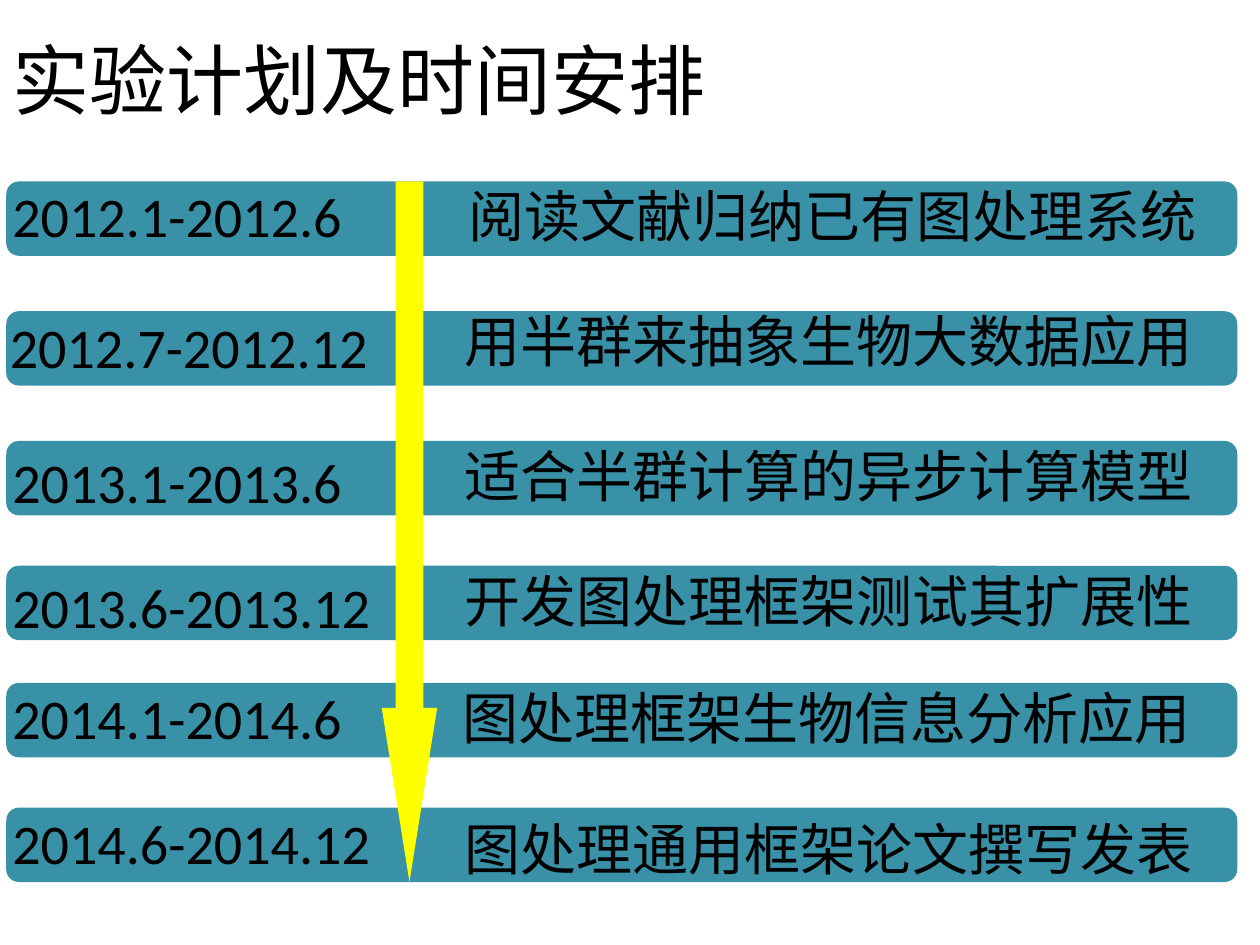
from pptx import Presentation
from pptx.dml.color import RGBColor
from pptx.enum.shapes import MSO_SHAPE
from pptx.enum.text import MSO_ANCHOR, MSO_AUTO_SIZE
from pptx.util import Inches, Pt

TEAL = RGBColor(0x38, 0x91, 0xA7)
YELLOW = RGBColor(0xFF, 0xFF, 0x00)
BLACK = RGBColor(0x00, 0x00, 0x00)

# The slide is a grid of 100 columns by 75 rows
COLS, ROWS = 100, 75
BAR_X, BAR_W, BAR_H = 0.5, 97.7, 5.9
TEXT_H, TASK_W = 6.4, 60.8

# Bar top, (period, column, row shift), (task, column, row shift)
STEPS = [
    (14.4, ("2012.1-2012.6", 0, -0.5), ("阅读文献归纳已有图处理系统", 36.2, -0.5)),
    (24.7, ("2012.7-2012.12", -0.2, -0.4), ("用半群来抽象生物大数据应用", 35.9, -0.9)),
    (35.0, ("2013.1-2013.6", 0, 0), ("适合半群计算的异步计算模型", 35.9, -0.5)),
    (44.9, ("2013.6-2013.12", 0, 0), ("开发图处理框架测试其扩展性", 35.9, -0.5)),
    (54.2, ("2014.1-2014.6", 0, -0.5), ("图处理框架生物信息分析应用", 35.7, -0.5)),
    (64.1, ("2014.6-2014.12", 0, -0.5), ("图处理通用框架论文撰写发表", 35.9, 0)),
]
# Width of a period by its number of characters
DATE_W = {13: 28.4, 14: 30.4}


class Board:
    """Holds the style and the current slide."""

    title = {"name": "Noto Sans CJK SC", "size": Pt(44)}
    body = {"name": "Calibri", "size": Pt(32)}

    def __init__(self, deck):
        self.slide = deck.slides.add_slide(deck.slide_layouts[6])
        self.col = deck.slide_width / COLS
        self.row = deck.slide_height / ROWS

    def place(self, x, y, w, h):
        return (round(x * self.col), round(y * self.row),
                round(w * self.col), round(h * self.row))

    def shape(self, kind, box, color, *ratios):
        item = self.slide.shapes.add_shape(kind, *self.place(*box))
        item.shadow.inherit = False
        item.fill.solid()
        item.fill.fore_color.rgb = color
        item.line.fill.background()
        for i, ratio in enumerate(ratios):
            item.adjustments[i] = ratio

    def text(self, words, box, style):
        frame = self.slide.shapes.add_textbox(*self.place(*box)).text_frame
        frame.word_wrap = True
        frame.auto_size = MSO_AUTO_SIZE.NONE
        frame.vertical_anchor = MSO_ANCHOR.MIDDLE
        run = frame.paragraphs[0].add_run()
        run.text = words
        for key, value in style.items():
            setattr(run.font, key, value)
        run.font.color.rgb = BLACK


def main():
    deck = Presentation()
    deck.slide_width, deck.slide_height = Inches(10), Inches(7.5)
    board = Board(deck)

    # Bars
    for top, *_ in STEPS:
        board.shape(MSO_SHAPE.ROUNDED_RECTANGLE,
                    (BAR_X, top, BAR_W, BAR_H), TEAL, 0.17)

    # Title
    board.text("实验计划及时间安排", (0, 0, 90, 12.5), board.title)

    # Time arrow, from the first bar's top to the last bar's foot
    start, end = STEPS[0][0], STEPS[-1][0] + BAR_H
    board.shape(MSO_SHAPE.DOWN_ARROW, (30.3, start, 4.4, end - start),
                YELLOW, 0.5, 3.14)

    # Periods and tasks
    for top, (date, x, dy), (task, tx, ty) in STEPS:
        board.text(date, (x, top + dy, DATE_W[len(date)], TEXT_H), board.body)
        board.text(task, (tx, top + ty, TASK_W, TEXT_H), board.body)

    deck.save("out.pptx")


if __name__ == "__main__":
    main()
